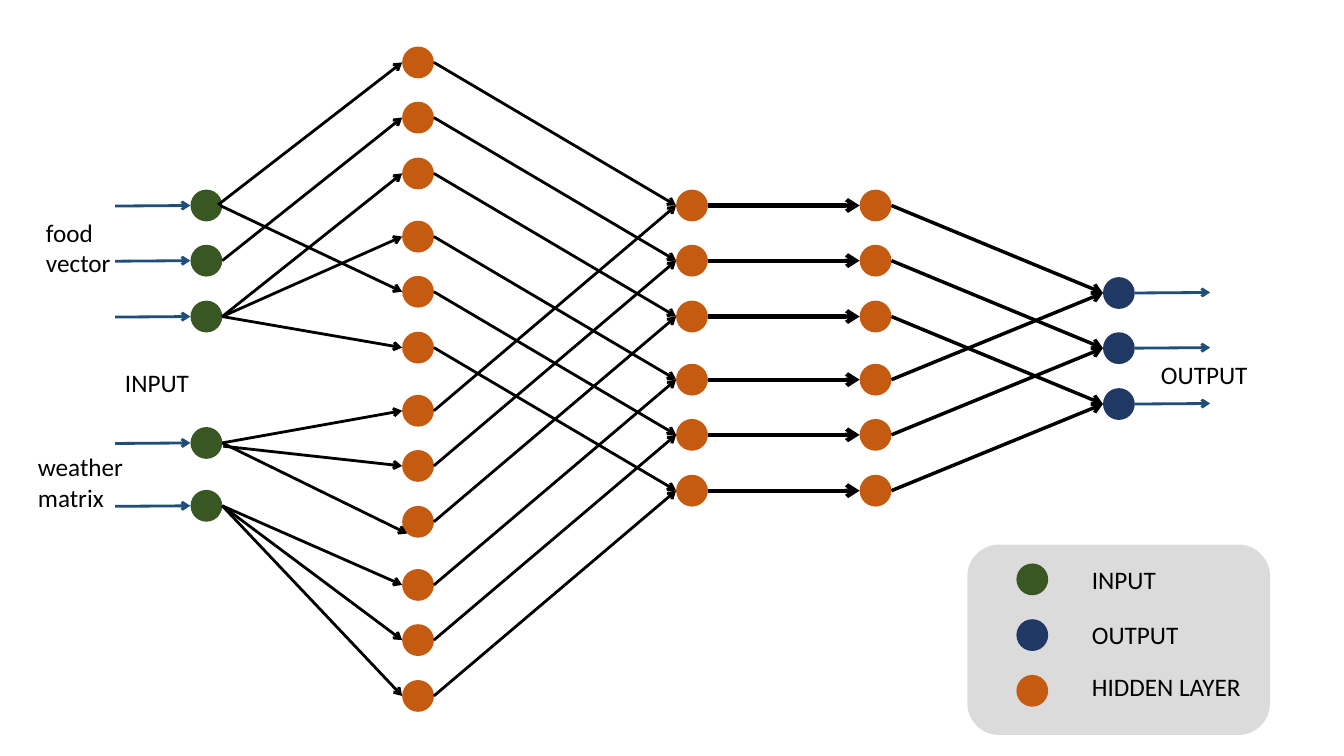
from lxml.etree import SubElement
from pptx import Presentation
from pptx.dml.color import RGBColor
from pptx.enum.shapes import MSO_CONNECTOR, MSO_SHAPE
from pptx.enum.text import MSO_AUTO_SIZE
from pptx.oxml.ns import qn
from pptx.util import Pt

GREEN, ORANGE, NAVY = "385723", "C55A11", "203864"
BLACK, BLUE, GREY = "000000", "1F4E79", "BFBFBF"
DIAMETER = 22.7
RADIUS = DIAMETER / 2
TRIPLE = (0, 39.4, 79.3)
TRIPLE_PITCH = 124.4


def add_filled(kind, left, top, width, height, color):
    """Add a borderless preset shape with a solid fill."""
    shape = slide.shapes.add_shape(kind, Pt(left), Pt(top), Pt(width), Pt(height))
    shape.shadow.inherit = False
    shape.fill.solid()
    shape.fill.fore_color.rgb = RGBColor.from_string(color)
    shape.line.fill.background()
    return shape


def add_arrow(start, end, color, weight):
    """Add a straight line with an open arrowhead at its end."""
    arrow = slide.shapes.add_connector(
        MSO_CONNECTOR.STRAIGHT, *(Pt(value) for value in (*start, *end)))
    arrow.line.color.rgb = RGBColor.from_string(color)
    arrow.line.width = Pt(weight)
    SubElement(arrow.line._get_or_add_ln(), qn("a:tailEnd"), type="arrow")
    SubElement(arrow._element.spPr, qn("a:effectLst"))


presentation = Presentation()
presentation.slide_width = Pt(960)
presentation.slide_height = Pt(540)
slide = presentation.slides.add_slide(presentation.slide_layouts[6])

# Layers: centre x, centre y of each node, colour
hidden_first = [44.6 + TRIPLE_PITCH * group + step
                for group in range(4) for step in TRIPLE]
hidden_later = [146.8 + TRIPLE_PITCH * group + step
                for group in range(2) for step in TRIPLE]
input_rows = [146.8 + step for step in TRIPLE] + [316.4, 361.3]
output_rows = [209.3 + step for step in TRIPLE]
layers = [
    (147.4, input_rows, GREEN),
    (298.6, hidden_first, ORANGE),
    (494.3, hidden_later, ORANGE),
    (625.4, hidden_later, ORANGE),
    (799.2, output_rows, NAVY),
]
for center_x, rows, color in layers:
    for center_y in rows:
        add_filled(MSO_SHAPE.OVAL, center_x - RADIUS, center_y - RADIUS,
                   DIAMETER, DIAMETER, color)

# Links between neighbouring layers: (from node, to node) and line weight
input_targets = [(0, 4), (1,), (2, 3, 5), (6, 7, 8), (9, 10, 11)]
links = [
    ([(node, target) for node, targets in enumerate(input_targets)
      for target in targets], 2),
    ([(node, node % 6) for node in range(12)], 2),
    ([(node, node) for node in range(6)], 3),
    ([(node, node % 3) for node in range(6)], 2.5),
]
# Input links that leave or arrive off the usual side point
start_shifts = {(0, 0): (-3, -0.5), (0, 4): (-1.5, 0), (3, 7): (0.7, 2.3)}
end_shifts = {(3, 8): (3.6, 8.4)}
for index, (pairs, weight) in enumerate(links):
    start_x, start_rows, _ = layers[index]
    end_x, end_rows, _ = layers[index + 1]
    for pair in pairs:
        start_dx, start_dy = start_shifts.get(pair, (0, 0)) if index == 0 else (0, 0)
        end_dx, end_dy = end_shifts.get(pair, (0, 0)) if index == 0 else (0, 0)
        add_arrow((start_x + RADIUS + start_dx, start_rows[pair[0]] + start_dy),
                  (end_x - RADIUS + end_dx, end_rows[pair[1]] + end_dy),
                  BLACK, weight)

# Arrows into the inputs and out of the outputs
for center_y in input_rows:
    add_arrow((82.2, center_y + 0.4), (136, center_y), BLUE, 2)
for center_y in output_rows:
    add_arrow((810.6, center_y), (864.4, center_y - 0.4), BLUE, 2)

# Legend panel and its swatches
panel = add_filled(MSO_SHAPE.ROUNDED_RECTANGLE, 691, 389, 216.2, 136, GREY)
panel_color = panel._element.spPr.find(qn("a:solidFill"))[0]
SubElement(panel_color, qn("a:alpha"), val="56000")
for row, color in enumerate((GREEN, NAVY, ORANGE)):
    add_filled(MSO_SHAPE.OVAL, 726, 402.5 + 39.8 * row, DIAMETER, DIAMETER, color)

# Labels: text, left, top, width, height
labels = [
    ("OUTPUT", 822.2, 253, 82, 29),
    ("INPUT", 82.2, 259, 61, 29),
    ("weather\nmatrix", 20, 319, 75, 51),
    ("food\nvector", 25.8, 151.6, 61, 51),
    ("INPUT", 772.8, 399.5, 61, 29),
    ("OUTPUT", 772.8, 439, 82, 29),
    ("HIDDEN LAYER", 772.8, 476, 121, 29),
]
for text, *box in labels:
    text_frame = slide.shapes.add_textbox(*(Pt(value) for value in box)).text_frame
    text_frame.word_wrap = False
    text_frame.auto_size = MSO_AUTO_SIZE.SHAPE_TO_FIT_TEXT
    text_frame.text = text
    for paragraph in text_frame.paragraphs:
        font = paragraph.runs[0].font
        font.name = "Calibri"
        font.size = Pt(18)
        font.color.rgb = RGBColor.from_string(BLACK)

presentation.save("out.pptx")
